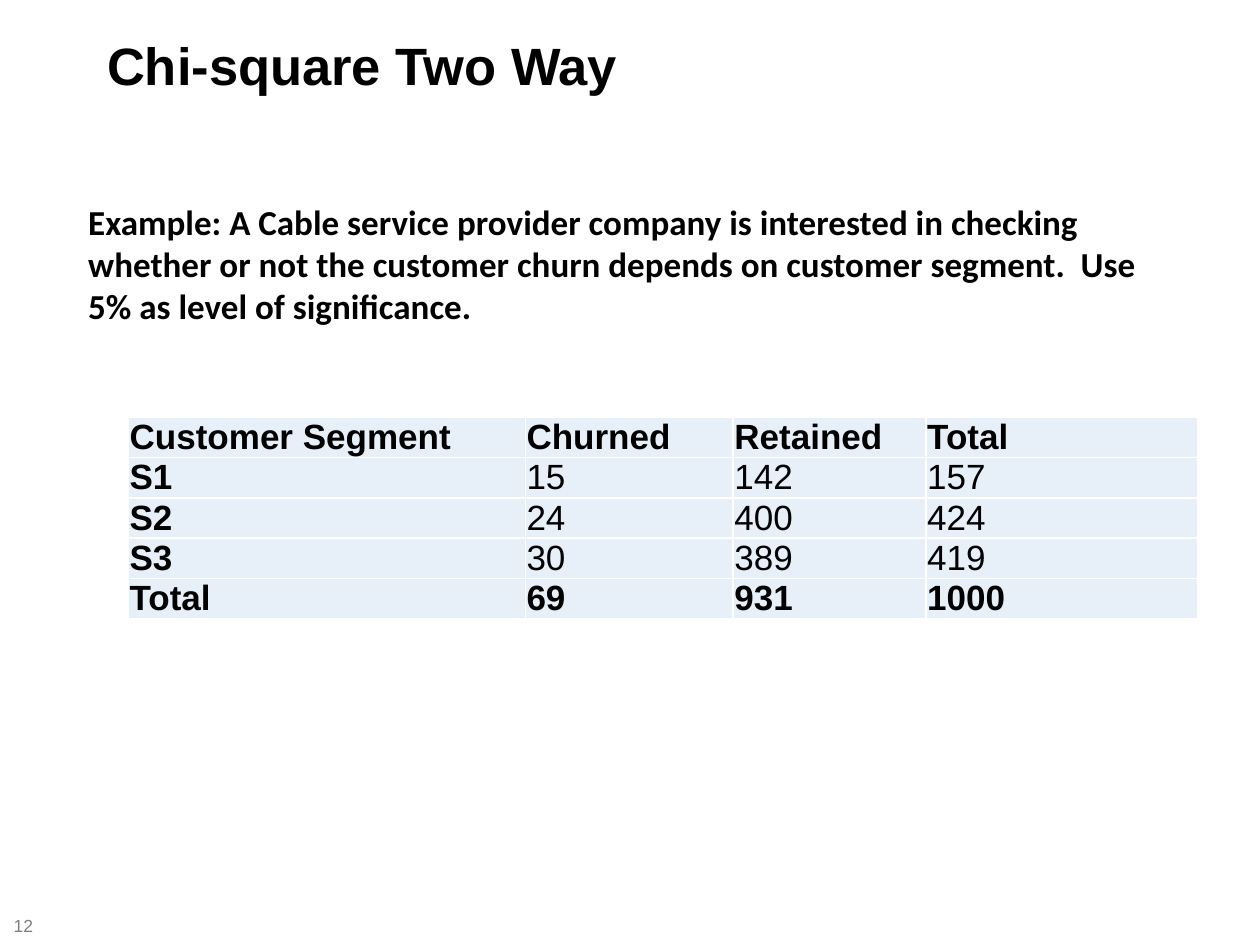
from lxml import etree
from pptx import Presentation
from pptx.dml.color import RGBColor
from pptx.enum.text import MSO_ANCHOR, MSO_AUTO_SIZE, PP_ALIGN
from pptx.oxml.ns import qn
from pptx.util import Pt

TOP, MID = MSO_ANCHOR.TOP, MSO_ANCHOR.MIDDLE
LEFT = PP_ALIGN.LEFT
FIXED = MSO_AUTO_SIZE.NONE


def color(code):
    return RGBColor.from_string(code)


def write(frame, text, size, font, bold=False, ink="000000"):
    para = frame.paragraphs[0]
    para.alignment = LEFT
    run = para.add_run()
    run.text = text
    run.font.size = Pt(size)
    run.font.name = font
    run.font.bold = bold
    run.font.color.rgb = color(ink)
    return para


deck = Presentation()
deck.slide_width, deck.slide_height = Pt(720), Pt(540)
slide = deck.slides.add_slide(deck.slide_layouts[1])
title, body = slide.placeholders

for shape, top, width, height, inset in (
    (title, 11.5, 648, 44, 25.2),
    (body, 107.3, 648.7, 352, 14.4),
):
    shape.left, shape.top = Pt(36), Pt(top)
    shape.width, shape.height = Pt(width), Pt(height)
    frame = shape.text_frame
    frame.auto_size = FIXED
    frame.word_wrap = True
    frame.vertical_anchor = TOP
    frame.margin_left = Pt(inset)
    frame.margin_top = frame.margin_right = frame.margin_bottom = Pt(7.2)

write(title.text_frame, "Chi-square Two Way", 30, "Arial", True)
para = write(
    body.text_frame,
    "Example: A Cable service provider company is interested in checking "
    "whether or not the customer churn depends on customer segment.  "
    "Use 5% as level of significance.",
    20, "Calibri", True,
)
para.space_before = Pt(4.4)
props = para._p.get_or_add_pPr()
props.set("marL", "0")
props.set("indent", "0")
etree.SubElement(props, qn("a:buNone"))

rows = (
    ("Customer Segment", "Churned", "Retained", "Total"),
    ("S1", "15", "142", "157"),
    ("S2", "24", "400", "424"),
    ("S3", "30", "389", "419"),
    ("Total", "69", "931", "1000"),
)
widths = (226.8, 118.8, 110.2, 155.5)
high = 23
table = slide.shapes.add_table(
    len(rows), len(widths), Pt(73.4), Pt(238.5),
    Pt(sum(widths)), Pt(high * len(rows)),
).table
for col, width in zip(table.columns, widths):
    col.width = Pt(width)

for r, row in enumerate(rows):
    table.rows[r].height = Pt(high)
    for c, text in enumerate(row):
        cell = table.cell(r, c)
        cell.vertical_anchor = MID
        cell.margin_left = cell.margin_right = Pt(0.7)
        cell.margin_top = cell.margin_bottom = 0
        bold = c == 0 or r in (0, len(rows) - 1)
        write(cell.text_frame, text, 20, "Arial", bold)
        props = cell._tc.get_or_add_tcPr()
        for side in ("lnL", "lnR", "lnT", "lnB"):
            line = etree.SubElement(props, qn("a:" + side), w=str(Pt(1)))
            fill = etree.SubElement(line, qn("a:solidFill"))
            etree.SubElement(fill, qn("a:srgbClr"), val="FFFFFF")
        cell.fill.solid()
        cell.fill.fore_color.rgb = color("E7F0F9")

page = slide.shapes.add_textbox(Pt(0.7), Pt(523.4), Pt(28), Pt(11.5))
page.text_frame.word_wrap = True
page.text_frame.vertical_anchor = MID
write(page.text_frame, "12", 10, "Arial", ink="7F7F7F")

deck.save("out.pptx")
